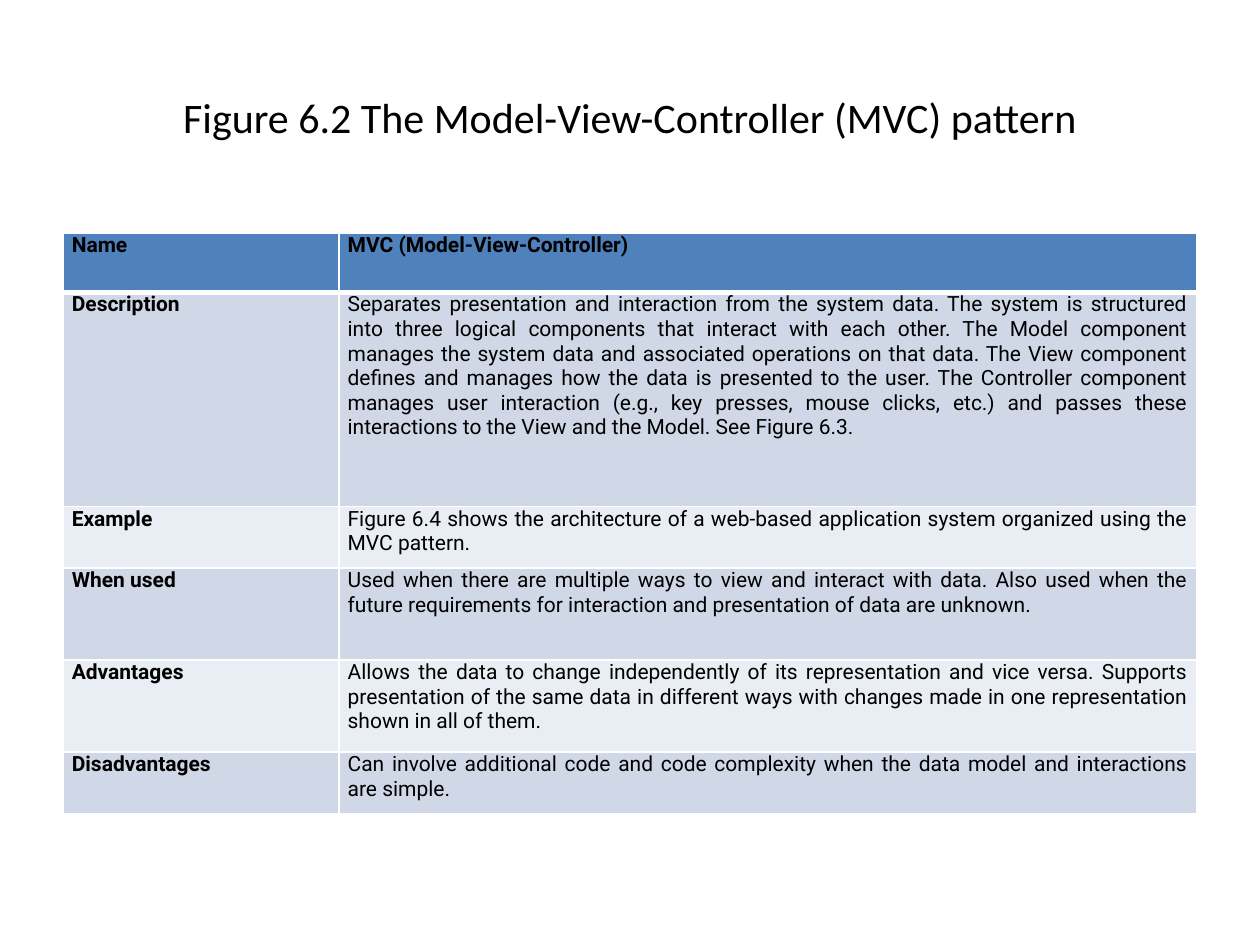
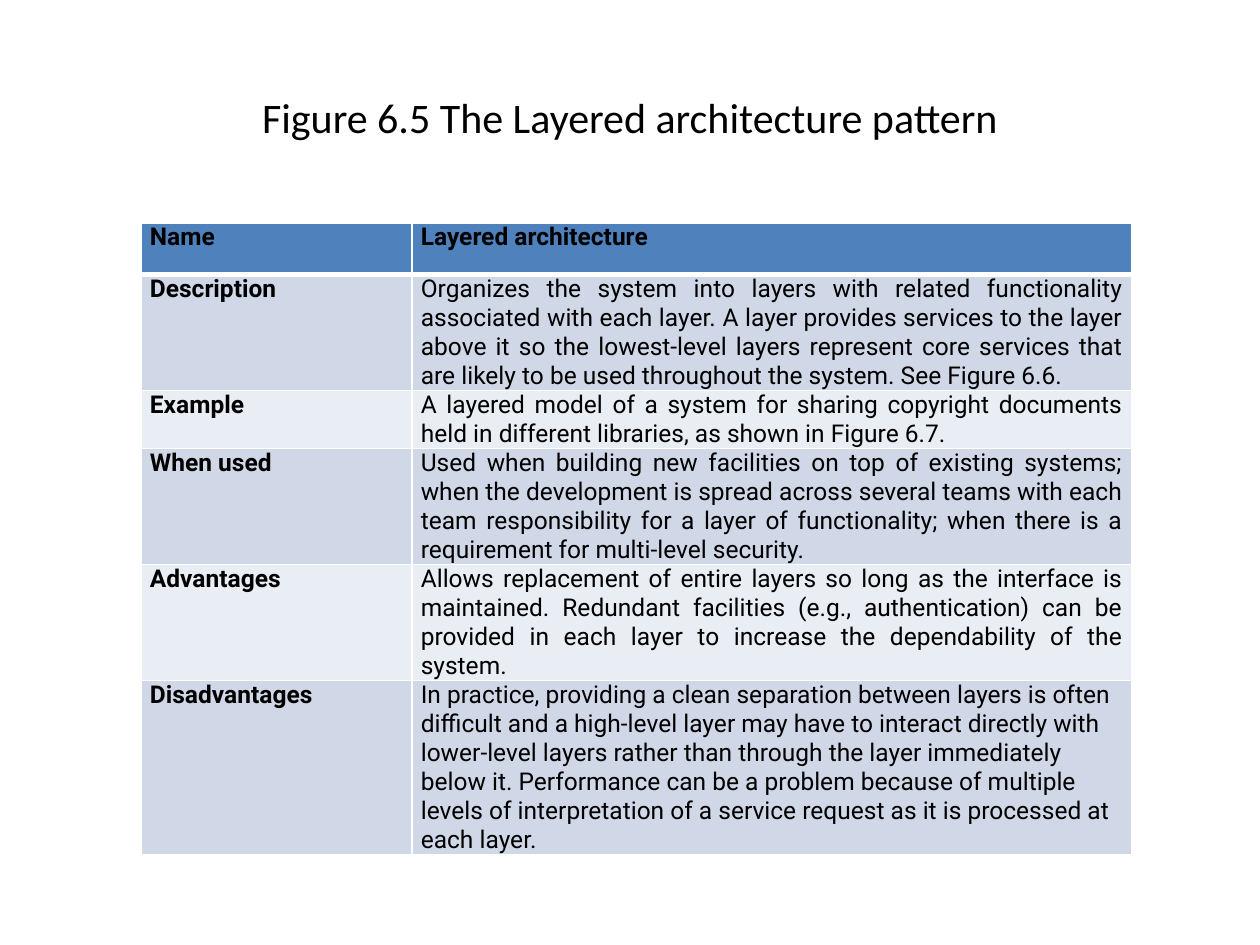
from lxml import etree
from pptx import Presentation
from pptx import util as u
from pptx.dml.color import RGBColor
from pptx.enum import text as t
from pptx.oxml.ns import qn

BLACK, WHITE = "000000", "FFFFFF"
HEAD, BANDS = "4F81BD", ("D0D8E8", "E9EDF4")
LABELS = ("Name", "Description", "Example", "When used", "Advantages", "Disadvantages")
TITLE = (0.5, 0.3, 9, 1.25)
JUST, LEFT, MID = t.PP_ALIGN.JUSTIFY, t.PP_ALIGN.LEFT, t.PP_ALIGN.CENTER


def hue(code):
    """Turn a hex string into a colour."""
    return RGBColor.from_string(code)


def write(frame, words, size=12, font="Roboto", color=BLACK, bold=False, align=JUST):
    """Put one formatted paragraph in a text frame."""
    para = frame.paragraphs[0]
    para.alignment = align
    run = para.add_run()
    run.text = words
    run.font.size, run.font.name, run.font.bold = u.Pt(size), font, bold
    run.font.color.rgb = hue(color)


def edge(cell, side, width):
    """Draw one white border of a cell."""
    line = etree.SubElement(cell._tc.get_or_add_tcPr(), qn("a:ln" + side), w=str(u.Pt(width)))
    fill = etree.SubElement(line, qn("a:solidFill"))
    etree.SubElement(fill, qn("a:srgbClr"), val=WHITE)


def head(slide, box, words):
    """Place and fill the slide title."""
    title = slide.shapes.title
    title.left, title.top, title.width, title.height = map(u.Inches, box)
    title.text_frame.vertical_anchor = t.MSO_ANCHOR.MIDDLE
    write(title.text_frame, words, size=24, font="Calibri", align=MID)


def paint(cell, row):
    """Set the margins, borders and fill of a cell by its row."""
    cell.margin_left = cell.margin_right = u.Inches(0.07)
    cell.margin_top = cell.margin_bottom = 0
    for side in "LRTB":
        edge(cell, side, 3 if (row, side) in ((0, "B"), (1, "T")) else 1)
    cell.fill.solid()
    cell.fill.fore_color.rgb = hue(BANDS[(row - 1) % 2] if row else HEAD)


def grid(slide, box, first, rows, texts, size, last):
    """Place the table that describes a pattern."""
    left, top, width, high = map(u.Inches, box)
    table = slide.shapes.add_table(len(LABELS), 2, left, top, width, high).table
    table.columns[0].width = u.Inches(first)
    table.columns[1].width = width - u.Inches(first)
    for row, pair in enumerate(zip(LABELS, texts)):
        table.rows[row].height = u.Inches(rows[row])
        for col, words in enumerate(pair):
            cell = table.cell(row, col)
            paint(cell, row)
            final = col == 1 and row == len(LABELS) - 1
            write(cell.text_frame, words, size=size, bold=row == 0 or col == 0,
                  align=last if final else JUST)


def page(deck, title, box, first, rows, texts, size, last=JUST):
    """Add a slide with a title and a pattern table."""
    slide = deck.slides.add_slide(deck.slide_layouts[5])
    head(slide, TITLE, title)
    grid(slide, box, first, rows, texts, size, last)


MVC = (
    "MVC (Model-View-Controller)",
    "Separates presentation and interaction from the system data. The system is structured "
    "into three logical components that interact with each other. The Model component manages "
    "the system data and associated operations on that data. The View component defines and "
    "manages how the data is presented to the user. The Controller component manages user "
    "interaction (e.g., key presses, mouse clicks, etc.) and passes these interactions to the "
    "View and the Model. See Figure 6.3.",
    "Figure 6.4 shows the architecture of a web-based application system organized using the "
    "MVC pattern.",
    "Used when there are multiple ways to view and interact with data. Also used when the "
    "future requirements for interaction and presentation of data are unknown.",
    "Allows the data to change independently of its representation and vice versa. Supports "
    "presentation of the same data in different ways with changes made in one representation "
    "shown in all of them.",
    "Can involve additional code and code complexity when the data model and interactions "
    "are simple.",
)
LAYERS = (
    "Layered architecture",
    "Organizes the system into layers with related functionality associated with each layer. "
    "A layer provides services to the layer above it so the lowest-level layers represent core "
    "services that are likely to be used throughout the system. See Figure 6.6.",
    "A layered model of a system for sharing copyright documents held in different libraries, "
    "as shown in Figure 6.7.",
    "Used when building new facilities on top of existing systems; when the development is "
    "spread across several teams with each team responsibility for a layer of functionality; "
    "when there is a requirement for multi-level security.",
    "Allows replacement of entire layers so long as the interface is maintained. Redundant "
    "facilities (e.g., authentication) can be provided in each layer to increase the "
    "dependability of the system.",
    "In practice, providing a clean separation between layers is often difficult and a "
    "high-level layer may have to interact directly with lower-level layers rather than "
    "through the layer immediately below it. Performance can be a problem because of multiple "
    "levels of interpretation of a service request as it is processed at each layer.",
)

deck = Presentation()
deck.slide_width, deck.slide_height = u.Inches(10), u.Inches(7.5)
page(deck, "Figure 6.2 The Model-View-Controller (MVC) pattern", (0.5, 1.85, 9, 4.6),
     2.19, (0.47, 1.7, 0.49, 0.73, 0.73, 0.49), MVC, 12)
page(deck, "Figure 6.5 The Layered architecture pattern", (1.12, 1.77, 7.86, 5.07),
     2.15, (0.41,) * len(LABELS), LAYERS, 14, last=LEFT)
deck.save("out.pptx")
